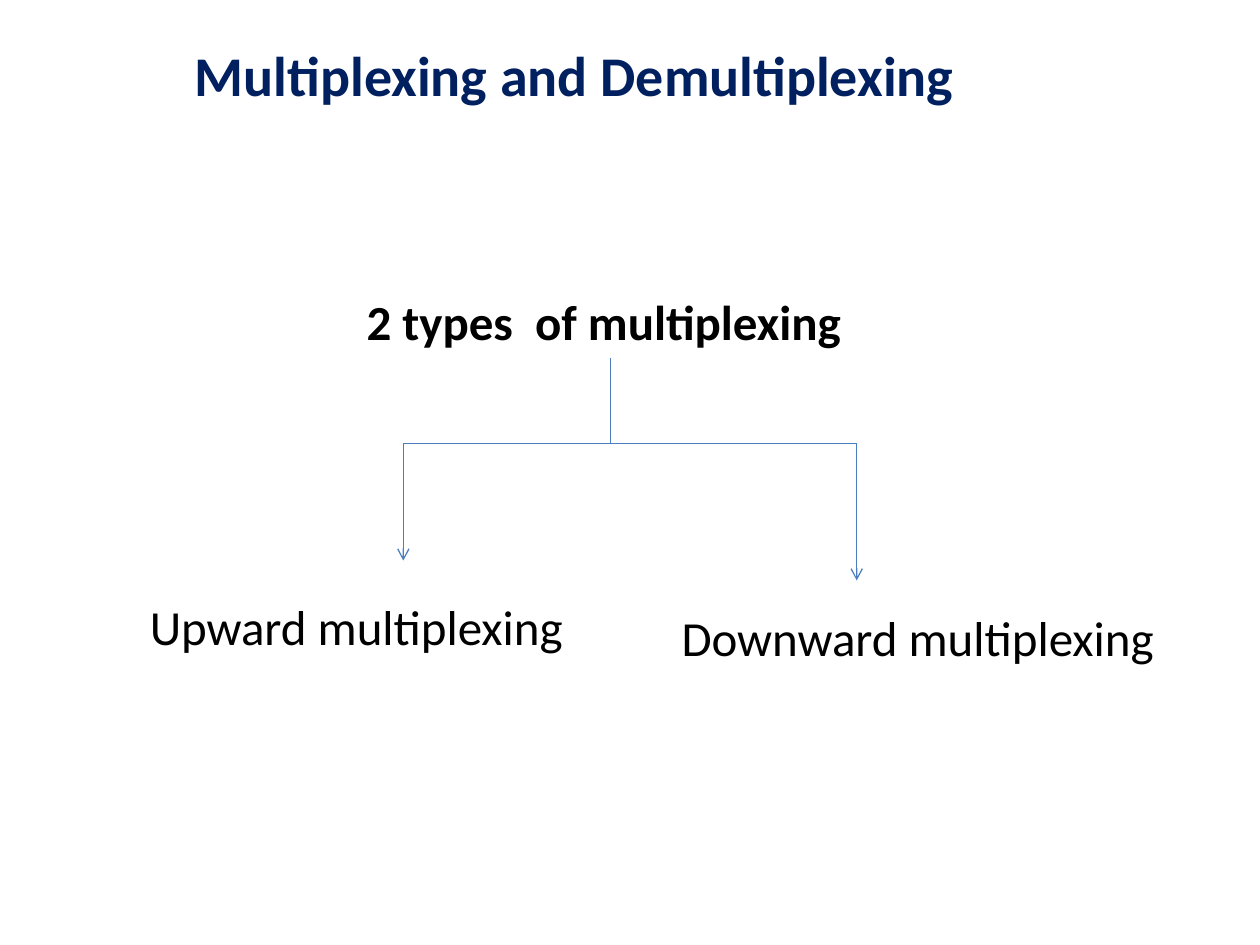
from lxml import etree
from pptx import Presentation
from pptx.dml.color import RGBColor
from pptx.enum.shapes import MSO_CONNECTOR
from pptx.enum.text import MSO_ANCHOR, MSO_AUTO_SIZE, PP_ALIGN
from pptx.oxml.ns import qn
from pptx.util import Cm, Pt

STRAIGHT = MSO_CONNECTOR.STRAIGHT
MIDDLE = MSO_ANCHOR.MIDDLE
NO_FIT = MSO_AUTO_SIZE.NONE
GROW = MSO_AUTO_SIZE.SHAPE_TO_FIT_TEXT
LEFT, CENTER, JUSTIFY = PP_ALIGN.LEFT, PP_ALIGN.CENTER, PP_ALIGN.JUSTIFY

FONT = "Calibri"
COLORS = {"title": "002060", "text": "000000", "line": "4B7EBC"}


def write(tf, text, size=28, color="text", bold=False, align=LEFT, spacing=None):
    p = tf.paragraphs[0]
    p.alignment = align
    if spacing:
        p.line_spacing = spacing
    r = p.add_run()
    r.text = text
    r.font.name = FONT
    r.font.size = Pt(size)
    r.font.bold = bold
    r.font.color.rgb = RGBColor.from_string(COLORS[color])


def add_title(s, text, x, y, w, h):
    sp = s.shapes.title
    sp.left, sp.top, sp.width, sp.height = Cm(x), Cm(y), Cm(w), Cm(h)
    tf = sp.text_frame
    tf.auto_size = NO_FIT
    tf.vertical_anchor = MIDDLE
    write(tf, text, size=32, color="title", bold=True, align=CENTER)


def add_label(s, text, x, y, w, h, wrap=True, **fmt):
    tf = s.shapes.add_textbox(Cm(x), Cm(y), Cm(w), Cm(h)).text_frame
    tf.word_wrap = wrap
    tf.auto_size = GROW
    write(tf, text, **fmt)


def add_line(s, start, end, arrow=False):
    x1, y1 = start
    x2, y2 = end
    cxn = s.shapes.add_connector(STRAIGHT, Cm(x1), Cm(y1), Cm(x2), Cm(y2))
    cxn.line.width = Pt(0.75)
    cxn.line.color.rgb = RGBColor.from_string(COLORS["line"])
    if arrow:
        ln = cxn.line._get_or_add_ln()
        etree.SubElement(ln, qn("a:tailEnd"), type="arrow")
    etree.SubElement(cxn._element.spPr, qn("a:effectLst"))


def add_tree(s, root, bar_y, tips):
    fork = (root[0], bar_y)
    add_line(s, root, fork)
    for x, y in tips:
        add_line(s, fork, (x, bar_y))
        add_line(s, (x, bar_y), (x, y), arrow=True)


def main():
    prs = Presentation()
    prs.slide_width, prs.slide_height = Cm(25.4), Cm(19.05)
    s = prs.slides.add_slide(prs.slide_layouts[5])

    add_title(s, "Multiplexing and Demultiplexing", 0.79, 0.79, 21.59, 1.4)
    add_label(s, "2 types  of multiplexing", 7.14, 5.16, 10.31, 2.06,
              bold=True, align=JUSTIFY, spacing=1.5)
    add_label(s, "Upward multiplexing", 2.77, 11.91, 10.31, 1.45)
    add_label(s, "Downward multiplexing", 13.49, 12.12, 10.13, 1.45, wrap=False)
    add_tree(s, (12.3, 7.22), 8.94, [(17.27, 11.7), (8.13, 11.3)])

    prs.save("out.pptx")


main()
